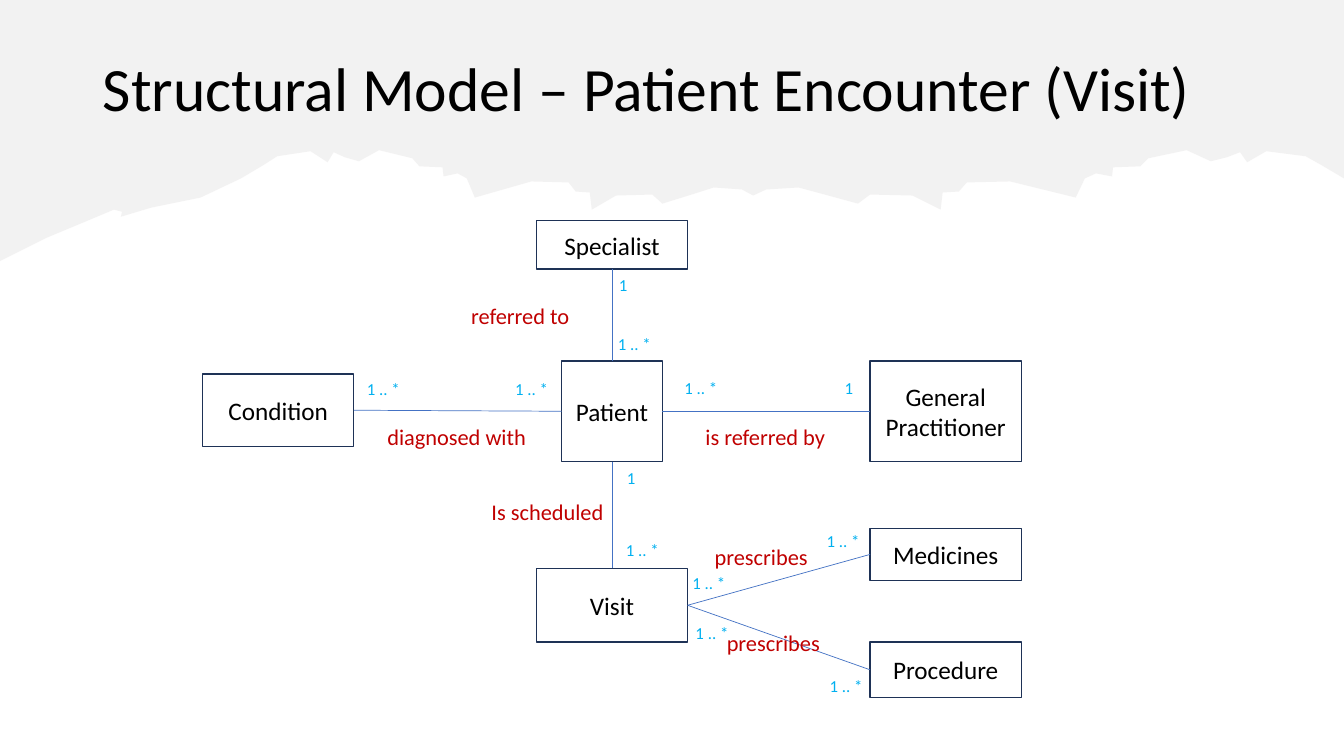
from lxml.etree import SubElement
from pptx import Presentation
from pptx.dml.color import RGBColor
from pptx.enum.shapes import MSO_CONNECTOR, MSO_SHAPE
from pptx.enum.text import MSO_ANCHOR, MSO_AUTO_SIZE, PP_ALIGN
from pptx.oxml.ns import qn
from pptx.util import Pt

PX = 9144
WIDTH, HEIGHT = 1333, 750
THEME = {
    "font": "Calibri",
    "ink": RGBColor(0x00, 0x00, 0x00),
    "border": RGBColor(0x1E, 0x32, 0x56),
    "link": RGBColor(0x44, 0x72, 0xC4),
    "relation": RGBColor(0xC0, 0x00, 0x00),
    "count": RGBColor(0x00, 0xB0, 0xF0),
    "wave": RGBColor(0xE7, 0xE6, 0xE6),
    "title_size": Pt(44),
    "entity_size": Pt(18),
    "relation_size": Pt(16),
    "count_size": Pt(12),
}


def write(tf, text, role, color, align=PP_ALIGN.CENTER):
    p = tf.paragraphs[0]
    p.alignment = align
    r = p.add_run()
    r.text = text
    r.font.name = THEME["font"]
    r.font.size = THEME[role + "_size"]
    r.font.color.rgb = THEME[color]
    return p


prs = Presentation()
prs.slide_width, prs.slide_height = WIDTH * PX, HEIGHT * PX
s = prs.slides.add_slide(prs.slide_layouts[5])

title = s.shapes.title
title.left, title.top, title.width, title.height = 92 * PX, 40 * PX, 1150 * PX, 102 * PX
tf = title.text_frame
tf.word_wrap = True
tf.auto_size = MSO_AUTO_SIZE.NONE
tf.vertical_anchor = MSO_ANCHOR.MIDDLE
p = write(tf, "Structural Model – Patient Encounter (Visit)", "title", "ink", PP_ALIGN.LEFT)
p.line_spacing = 0.9

slope = [(46, 236), (82, 221), (113, 208), (121, 210), (120, 215), (150, 206),
         (199, 196), (239, 177)]
torn_edge = [
    (261, 164), (275, 155), (308, 150), (325, 161), (331, 151), (342, 156),
    (356, 160), (376, 149), (409, 157), (416, 165), (439, 166), (440, 175),
    (454, 172), (463, 177), (471, 196), (527, 180), (564, 181), (571, 190),
    (585, 191), (587, 208), (611, 194), (647, 193), (657, 202), (686, 193),
    (708, 186), (736, 188), (747, 194),
]
axis, stretch = torn_edge[-1][0], 1.16
mirrored = [(round(axis + stretch * (axis - x)), y) for x, y in reversed(torn_edge)]
corners = [(WIDTH, slope[-1][1]), (WIDTH, 0), (0, 0)]
builder = s.shapes.build_freeform(0, 259, scale=PX)
builder.add_line_segments(slope + torn_edge + mirrored + corners, close=True)
wave = builder.convert_to_shape()
wave.shadow.inherit = False
wave.line.fill.background()
wave.fill.solid()
wave.fill.fore_color.rgb = THEME["wave"]
color = wave.element.spPr.find(qn("a:solidFill"))[0]
SubElement(color, qn("a:alpha")).set("val", "50000")
title.element.addprevious(wave.element)

entities = {}
for name, column, y, w, h in [
    ("Patient", 1, 358, 100, 100),
    ("General Practitioner", 2, 358, 150, 100),
    ("Condition", 0, 371, 150, 72),
    ("Visit", 1, 564, 150, 73),
    ("Specialist", 1, 219, 150, 48),
    ("Medicines", 2, 524, 150, 52),
    ("Procedure", 2, 637, 150, 55),
]:
    x = 276 + 331 * column - w // 2
    sp = s.shapes.add_shape(MSO_SHAPE.RECTANGLE, x * PX, y * PX, w * PX, h * PX)
    sp.shadow.inherit = False
    sp.fill.background()
    sp.line.color.rgb = THEME["border"]
    sp.line.width = Pt(1)
    sp.text_frame.word_wrap = True
    sp.text_frame.vertical_anchor = MSO_ANCHOR.MIDDLE
    write(sp.text_frame, name, "entity", "ink")
    entities[name] = sp

TOP, LEFT, BOTTOM, RIGHT = range(4)
for start, start_side, end, end_side in [
    ("Patient", RIGHT, "General Practitioner", LEFT),
    ("Condition", RIGHT, "Patient", LEFT),
    ("Specialist", BOTTOM, "Patient", TOP),
    ("Patient", BOTTOM, "Visit", TOP),
    ("Visit", RIGHT, "Medicines", LEFT),
    ("Visit", RIGHT, "Procedure", LEFT),
]:
    link = s.shapes.add_connector(MSO_CONNECTOR.STRAIGHT, 0, 0, 0, 0)
    link.begin_connect(entities[start], start_side)
    link.end_connect(entities[end], end_side)
    link.line.color.rgb = THEME["link"]
    link.line.width = Pt(0.5)
    SubElement(link.element.spPr, qn("a:effectLst"))

relations = [
    ("is referred by", 759, 415),
    ("referred to", 516, 295),
    ("diagnosed with", 453, 415),
    ("Is scheduled", 543, 489),
    ("prescribes", 755, 534),
    ("prescribes", 767, 619),
]
ones = [("1", x, y) for x, y in [(618, 268), (842, 370), (626, 459)]]
manys = [("1 .. * ", x, y) for x, y in [
    (631, 326), (382, 371), (529, 371), (697, 370), (639, 531),
    (705, 563), (838, 522), (841, 665), (708, 613),
]]
for role, labels, w, h in [
    ("relation", relations, 160, 37),
    ("count", ones, 32, 30),
    ("count", manys, 68, 30),
]:
    for text, center, y in labels:
        sp = s.shapes.add_textbox((center - w // 2) * PX, y * PX, w * PX, h * PX)
        tf = sp.text_frame
        tf.word_wrap = True
        tf.auto_size = MSO_AUTO_SIZE.SHAPE_TO_FIT_TEXT
        write(tf, text, role, role)

prs.save("out.pptx")
